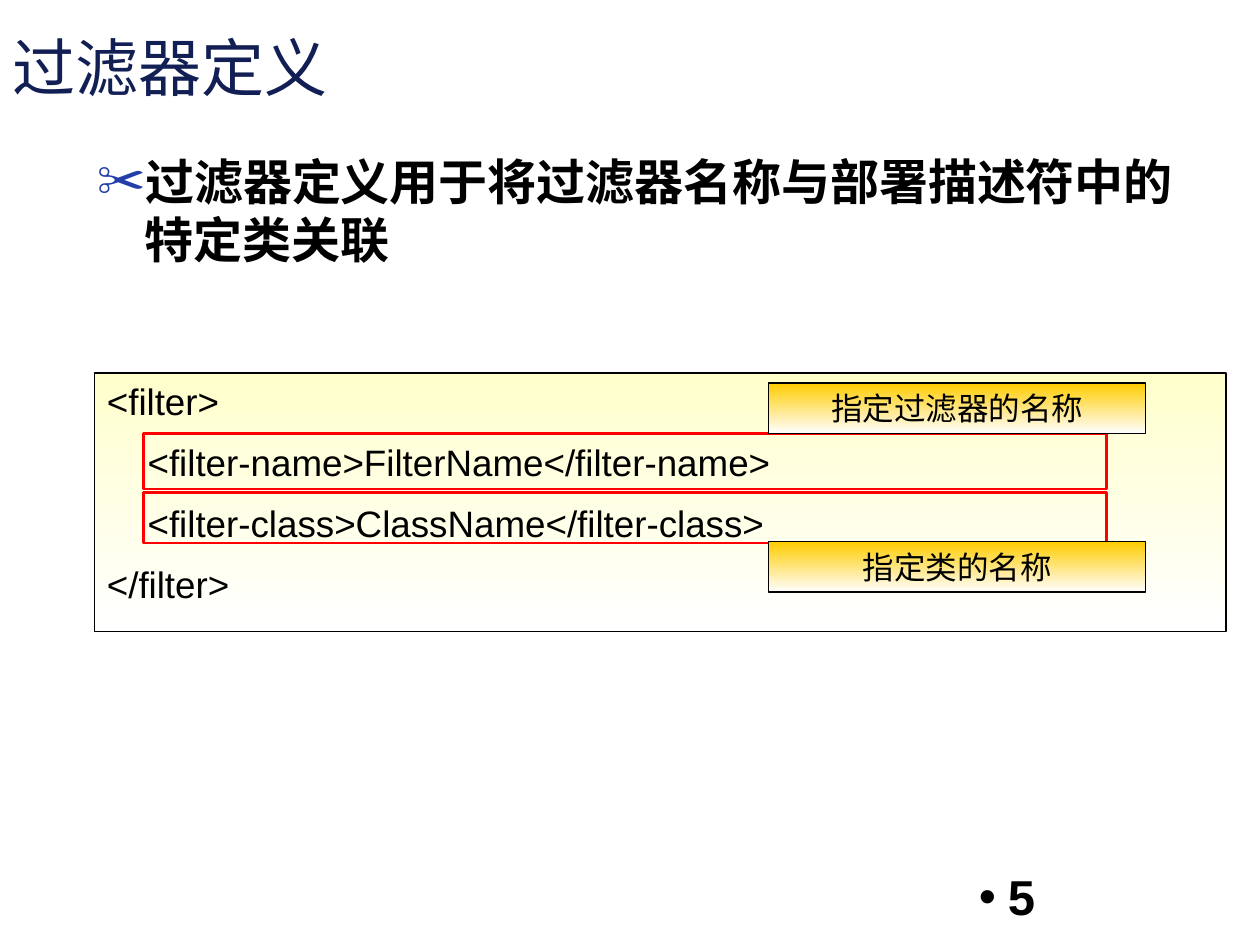
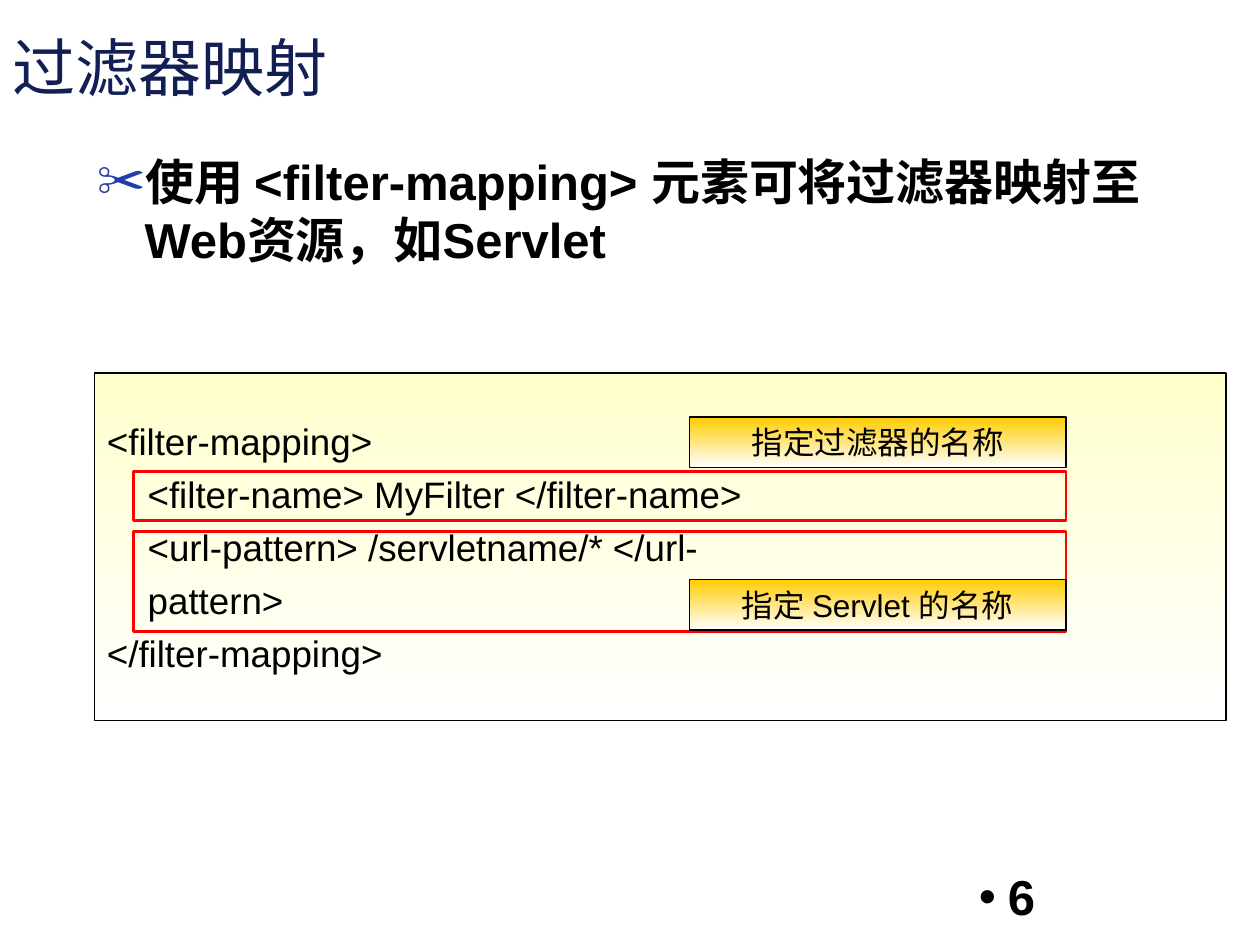
from lxml import etree
from pptx import Presentation
from pptx.dml.color import RGBColor
from pptx.enum.shapes import MSO_SHAPE
from pptx.enum.text import MSO_ANCHOR, PP_ALIGN
from pptx.oxml.ns import qn
from pptx.util import Inches, Pt

RECT = MSO_SHAPE.RECTANGLE
TOP, MIDDLE = MSO_ANCHOR.TOP, MSO_ANCHOR.MIDDLE
LEFT, CENTER = PP_ALIGN.LEFT, PP_ALIGN.CENTER

HUES = {
    "navy": "121F55", "blue": "233DA9", "black": "000000", "white": "FFFFFF",
    "cream": "FFFFCC", "gold": "FFCC00", "red": "FF0000",
}
STYLES = {
    "title": {"size": Pt(36), "bold": False, "hue": "navy"},
    "body": {"size": Pt(28), "bold": True, "hue": "black"},
    "code": {"size": Pt(21), "bold": False, "hue": "black"},
    "label": {"size": Pt(18), "bold": False, "hue": "black"},
}
LABEL_W, LABEL_H = 2.99, 0.4

SLIDES = [
    {
        "title": "过滤器定义",
        "point": "过滤器定义用于将过滤器名称与部署描述符中的特定类关联",
        "number": 5,
        "code": [
            "<filter>",
            "    <filter-name>FilterName</filter-name>",
            "    <filter-class>ClassName</filter-class>",
            "</filter>",
        ],
        "height": 2.05, "anchor": TOP, "after": 4.4,
        "frame": (0.39, 7.64), "rows": [(0.48, 0.44), (0.95, 0.4)],
        "label": 5.35,
        "notes": [(0.08, "指定过滤器的名称"), (1.34, "指定类的名称")],
    },
    {
        "title": "过滤器映射",
        "point": "使用 <filter-mapping> 元素可将过滤器映射至 Web资源，如Servlet",
        "number": 6,
        "code": [
            "<filter-mapping>",
            "    <filter-name> MyFilter </filter-name>",
            "    <url-pattern> /servletname/* </url-",
            "    pattern>",
            "</filter-mapping>",
        ],
        "height": 2.76, "anchor": MIDDLE, "after": 0,
        "frame": (0.31, 7.4), "rows": [(0.78, 0.39), (1.26, 0.79)],
        "label": 4.72,
        "notes": [(0.35, "指定过滤器的名称"), (1.64, "指定 Servlet 的名称")],
    },
]


def color(name):
    return RGBColor.from_string(HUES[name])


def write(shape, lines, style, anchor=TOP, align=LEFT, before=0, after=0):
    frame = shape.text_frame
    form = {
        "word_wrap": True, "vertical_anchor": anchor,
        "margin_left": Inches(0.1), "margin_right": Inches(0.1),
        "margin_top": Inches(0.05), "margin_bottom": Inches(0.05),
    }
    for key, value in form.items():
        setattr(frame, key, value)
    for i, line in enumerate(lines):
        para = frame.paragraphs[0] if i == 0 else frame.add_paragraph()
        para.alignment = align
        para.space_before = Pt(before if i else 0)
        para.space_after = Pt(after)
        run = para.add_run()
        run.text = line
        run.font.name = "Arial"
        for key, value in STYLES[style].items():
            if key == "hue":
                run.font.color.rgb = color(value)
            else:
                setattr(run.font, key, value)


def add_text(slide, box, text, style, anchor=TOP):
    shape = slide.shapes.add_textbox(*map(Inches, box))
    write(shape, [text], style, anchor)
    return shape.text_frame.paragraphs[0]


def add_mark(para, char, hue, indent):
    props = para._p.get_or_add_pPr()
    props.set("marL", str(Inches(indent)))
    props.set("indent", str(-Inches(indent)))
    tint = etree.SubElement(props, qn("a:buClr"))
    etree.SubElement(tint, qn("a:srgbClr"), val=HUES[hue])
    etree.SubElement(props, qn("a:buFont"), typeface="Arial")
    etree.SubElement(props, qn("a:buChar"), char=char)


def add_rect(slide, box, line, width, fade=None):
    shape = slide.shapes.add_shape(RECT, *map(Inches, box))
    shape.shadow.inherit = False
    shape.line.color.rgb = color(line)
    shape.line.width = Pt(width)
    if fade:
        shape.fill.gradient()
        shape.fill.gradient_angle = 270
        for stop, hue in zip(shape.fill.gradient_stops, (fade, "white")):
            stop.color.rgb = color(hue)
    else:
        shape.fill.background()
    return shape


def add_head(slide, box, text):
    add_text(slide, box, text, "title", MIDDLE)


def add_point(slide, box, text):
    add_mark(add_text(slide, box, text, "body"), "✂", "blue", 0.38)


def add_number(slide, box, number):
    add_mark(add_text(slide, box, str(number), "body"), "•", "black", 0.23)


def add_code(slide, box, data):
    left, top = box[:2]
    panel = add_rect(slide, box, "black", 0.75, "cream")
    write(panel, data["code"], "code", data["anchor"],
          before=5.2, after=data["after"])
    shift, width = data["frame"]
    for (drop, height), (fall, text) in zip(data["rows"], data["notes"]):
        add_rect(slide, (left + shift, top + drop, width, height), "red", 1.5)
        spot = (left + data["label"], top + fall, LABEL_W, LABEL_H)
        label = add_rect(slide, spot, "black", 0.75, "gold")
        write(label, [text], "label", MIDDLE, CENTER)


def add_page(deck, data):
    slide = deck.slides.add_slide(deck.slide_layouts[6])
    add_head(slide, (0, 0.13, 10, 0.79), data["title"])
    add_point(slide, (0.67, 1.15, 8.83, 5.98), data["point"])
    add_number(slide, (7.67, 6.83, 2.33, 0.5), data["number"])
    add_code(slide, (0.75, 2.96, 8.98, data["height"]), data)


def main():
    deck = Presentation()
    deck.slide_width, deck.slide_height = Inches(10), Inches(7.5)
    for data in SLIDES:
        add_page(deck, data)
    deck.save("out.pptx")


if __name__ == "__main__":
    main()
